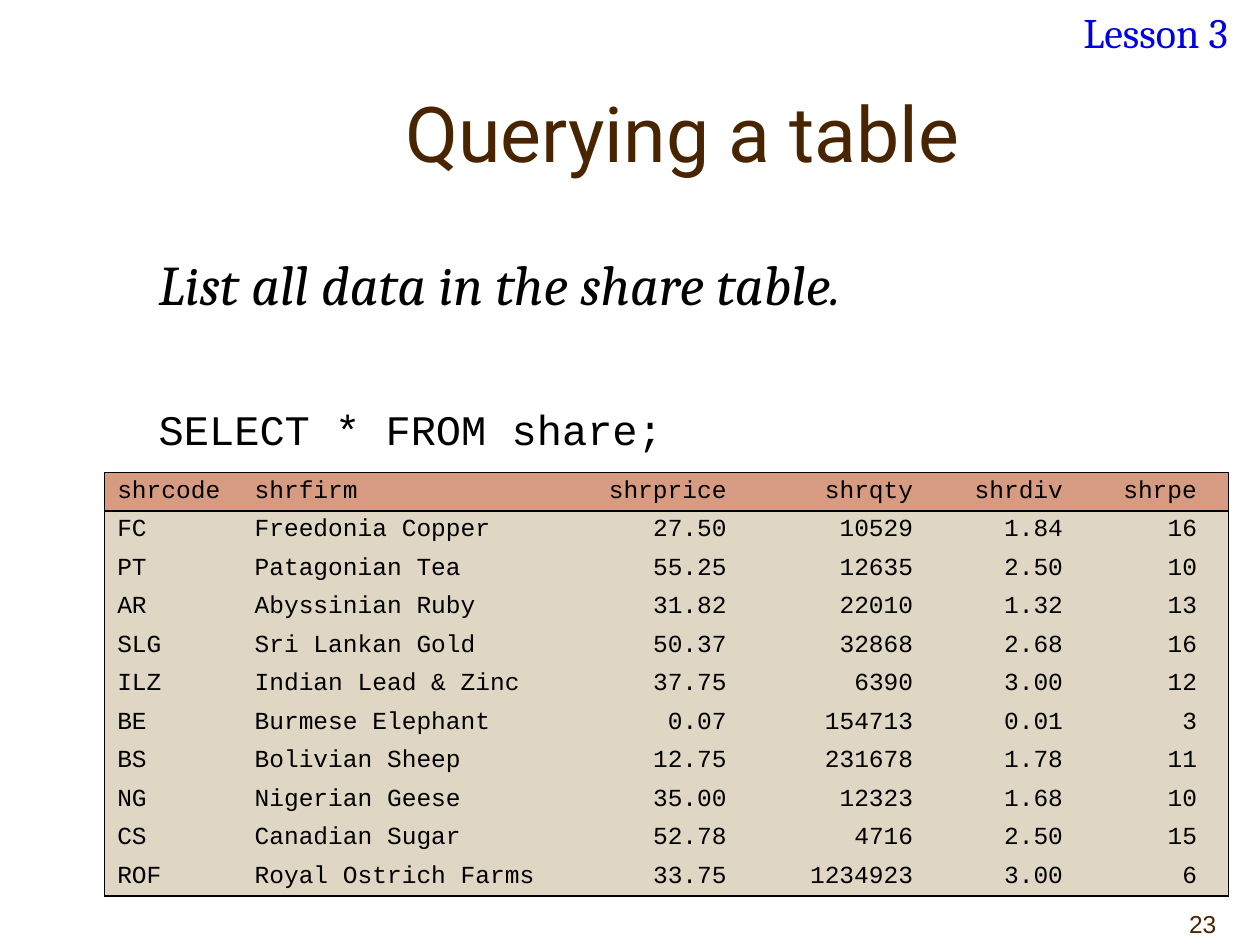
from lxml import etree
from pptx import Presentation
from pptx.dml.color import RGBColor
from pptx.enum import text
from pptx.oxml.ns import qn
from pptx.util import Cm, Pt

BROWN, BLACK, BLUE = "482400", "000000", "0000E3"
HEADER_FILL, BODY_FILL = "D69B80", "DFD6C3"
LEFT, CENTER, RIGHT = text.PP_ALIGN.LEFT, text.PP_ALIGN.CENTER, text.PP_ALIGN.RIGHT
TOP, MIDDLE, BOTTOM = text.MSO_ANCHOR.TOP, text.MSO_ANCHOR.MIDDLE, text.MSO_ANCHOR.BOTTOM

# box in cm, anchor, alignment, lines of (wording, font, size, colour, italic, space before)
TEXTS = [
    ((21.59, 17.78, 3.18, 1.27), BOTTOM, RIGHT, [("23", "Arial", 14, BROWN, False, 0)]),
    ((2.97, 1.07, 21.59, 3.18), MIDDLE, CENTER,
     [("Querying a table", "Roboto", 44, BROWN, False, 0)]),
    ((2.95, 4.9, 21.59, 4.4), TOP, LEFT,
     [("List all data in the share table.", "Cambria", 32, BLACK, True, 0),
      ("SELECT * FROM share;", "Courier New", 24, BLACK, False, 50)]),
    ((21.59, 0, 3.81, 1.27), TOP, LEFT, [("Lesson 3", "Cambria", 24, BLUE, False, 0)]),
]

SHARES = [
    ("shrcode", "shrfirm", "shrprice", "shrqty", "shrdiv", "shrpe"),
    ("FC", "Freedonia Copper", "27.50", "10529", "1.84", "16"),
    ("PT", "Patagonian Tea", "55.25", "12635", "2.50", "10"),
    ("AR", "Abyssinian Ruby", "31.82", "22010", "1.32", "13"),
    ("SLG", "Sri Lankan Gold", "50.37", "32868", "2.68", "16"),
    ("ILZ", "Indian Lead & Zinc", "37.75", "6390", "3.00", "12"),
    ("BE", "Burmese Elephant", "0.07", "154713", "0.01", "3"),
    ("BS", "Bolivian Sheep", "12.75", "231678", "1.78", "11"),
    ("NG", "Nigerian Geese", "35.00", "12323", "1.68", "10"),
    ("CS", "Canadian Sugar", "52.78", "4716", "2.50", "15"),
    ("ROF", "Royal Ostrich Farms", "33.75", "1234923", "3.00", "6"),
]
COLUMN_WIDTHS = (2.77, 7.16, 3.25, 3.76, 3.02, 2.7)
ROW_HEIGHT = 0.75
TEXT_COLUMNS = 2


def color(value):
    """Turn a hex string into a colour."""
    return RGBColor.from_string(value)


def style(paragraph, font, size, ink, italic=False):
    """Format every run of a paragraph."""
    for run in paragraph.runs:
        run.font.name, run.font.size, run.font.italic = font, Pt(size), italic
        run.font.color.rgb = color(ink)


def add_text(slide, box, anchor, align, lines):
    """Add a text box with one paragraph per line."""
    frame = slide.shapes.add_textbox(*map(Cm, box)).text_frame
    frame.word_wrap, frame.vertical_anchor = True, anchor
    frame.text = "\n".join(line[0] for line in lines)
    for paragraph, (_, font, size, ink, italic, before) in zip(frame.paragraphs, lines):
        paragraph.alignment, paragraph.space_before = align, Pt(before)
        style(paragraph, font, size, ink, italic)


def set_borders(cell, visible):
    """Draw the visible sides of a cell in black and hide the others."""
    properties = cell._tc.get_or_add_tcPr()
    for place, side in enumerate("LRTB"):
        line = etree.Element(qn(f"a:ln{side}"), w=str(Pt(1)))
        if side in visible:
            fill = etree.SubElement(line, qn("a:solidFill"))
            etree.SubElement(fill, qn("a:srgbClr"), val=BLACK)
        else:
            etree.SubElement(line, qn("a:noFill"))
        properties.insert(place, line)


def add_shares(slide):
    """Add the share table with a framed header and a framed body."""
    last_row, last_column = len(SHARES) - 1, len(COLUMN_WIDTHS) - 1
    table = slide.shapes.add_table(
        len(SHARES), len(COLUMN_WIDTHS), Cm(2.11), Cm(9.52),
        Cm(sum(COLUMN_WIDTHS)), Cm(ROW_HEIGHT * len(SHARES))).table
    for column, width in zip(table.columns, COLUMN_WIDTHS):
        column.width = Cm(width)
    for r, record in enumerate(SHARES):
        table.rows[r].height = Cm(ROW_HEIGHT)
        for c, value in enumerate(record):
            cell = table.cell(r, c)
            cell.text = value
            cell.fill.solid()
            cell.fill.fore_color.rgb = color(BODY_FILL if r else HEADER_FILL)
            paragraph = cell.text_frame.paragraphs[0]
            paragraph.line_spacing = 0.88
            style(paragraph, "Courier New", 14, BLACK)
            if c >= TEXT_COLUMNS:
                paragraph.alignment = RIGHT
                cell.margin_left, cell.margin_right = Cm(0), Cm(0.64)
            edges = {"L": c == 0, "R": c == last_column,
                     "T": r <= 1, "B": r in (0, last_row)}
            set_borders(cell, [side for side, shown in edges.items() if shown])


deck = Presentation()
deck.slide_width, deck.slide_height = Cm(25.4), Cm(19.05)
slide = deck.slides.add_slide(deck.slide_layouts[6])
for entry in TEXTS:
    add_text(slide, *entry)
add_shares(slide)
deck.save("out.pptx")
